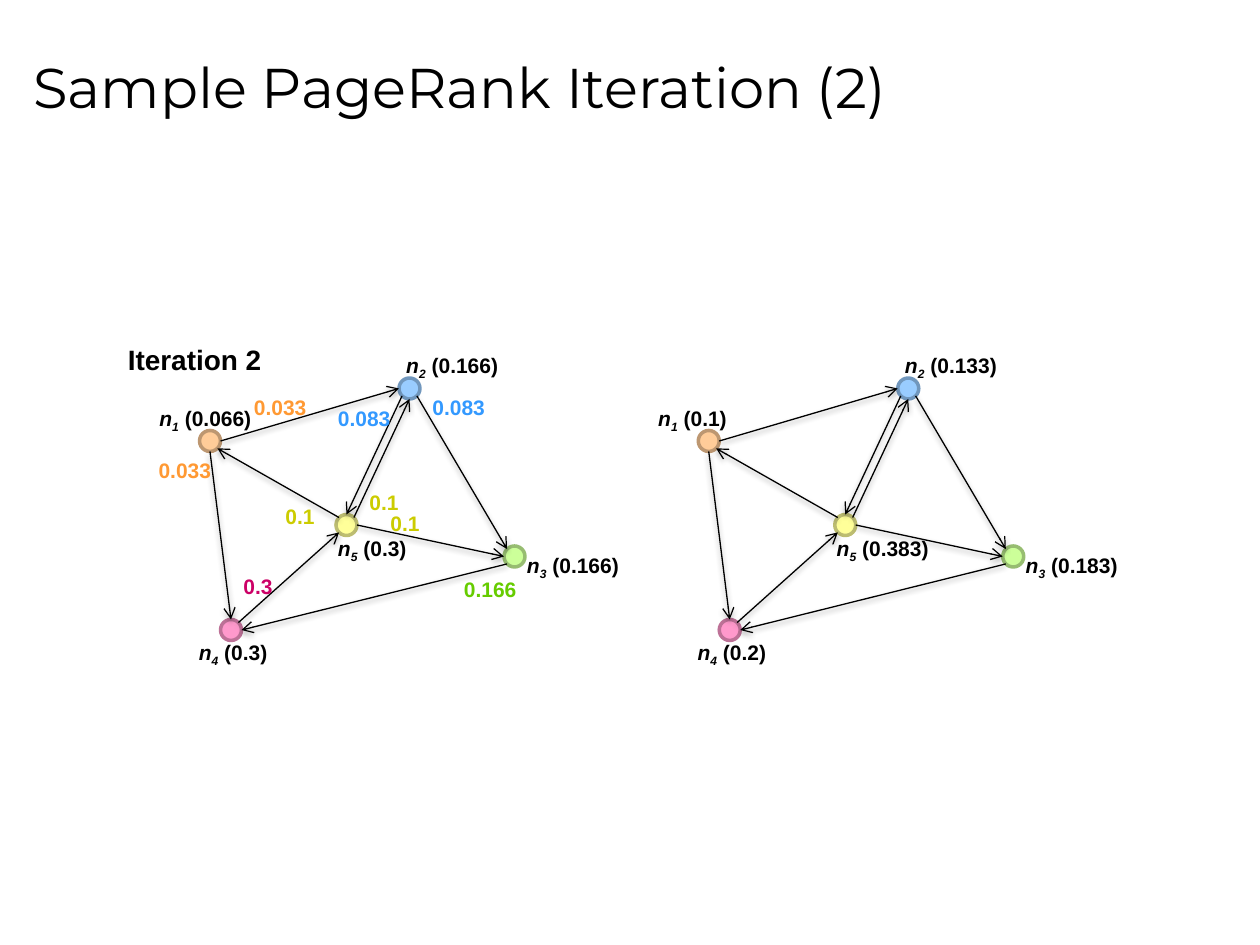
from lxml import etree
from pptx import Presentation
from pptx.dml.color import RGBColor
from pptx.enum import shapes, text
from pptx.oxml import parse_xml
from pptx.oxml.ns import nsdecls, qn
from pptx.util import Pt

# Content
TITLE = "Sample PageRank Iteration (2)"
STEP = "Iteration 2"
# node: centre, fill, outline, left and top of its label
NODES = {
    1: ((120, 252), "FFCC99", "BD9771", (84, 228)),
    2: ((234, 222), "99CCFF", "7197BD", (225, 198)),
    3: ((294, 318), "CCFF99", "97BD71", (294, 312)),
    4: ((132, 360), "FF99CC", "BD7197", (106.5, 362)),
    5: ((198, 300), "FFFF99", "BDBD71", (186, 302.4)),
}
# from node and side, to node and side
EDGES = [
    (1, "E", 2, "W"), (5, "NW", 1, "SE"), (1, "S", 4, "N"),
    (4, "NE", 5, "SW"), (5, "NE", 2, "S"), (2, "SE", 3, "NW"),
    (5, "E", 3, "W"), (3, "SW", 4, "E"), (2, "SW", 5, "N"),
]
# left shift of each graph and its node ranks
GRAPHS = [
    (0, {1: "0.066", 2: "0.166", 3: "0.166", 4: "0.3", 5: "0.3"}),
    (285, {1: "0.1", 2: "0.133", 3: "0.183", 4: "0.2", 5: "0.383"}),
]
# rank passed along an edge, colour, left, top
FLOWS = [
    ("0.033", "FF9933", 138, 222), ("0.033", "FF9933", 83.5, 258),
    ("0.3", "CC0066", 132, 324), ("0.166", "66CC00", 258, 326),
    ("0.083", "3399FF", 186, 228), ("0.083", "3399FF", 240, 222),
    ("0.1", "CCCC00", 156, 284.4), ("0.1", "CCCC00", 216, 288),
    ("0.1", "CCCC00", 204, 276),
]
RADIUS = 6
DIGIT = 6.67  # width of one 12 pt digit
ROW = 21.8    # height of a one-line label

SHADOW = (f'<a:effectLst {nsdecls("a")}><a:outerShdw blurRad="40000" dist="20000" '
          'dir="5400000" rotWithShape="0"><a:srgbClr val="000000">'
          '<a:alpha val="38000"/></a:srgbClr></a:outerShdw></a:effectLst>')

prs = Presentation()
prs.slide_width, prs.slide_height = Pt(720), Pt(540)
s = prs.slides.add_slide(prs.slide_layouts[6])


def rgb(value):
    return RGBColor.from_string(value)


def add_text(runs, x, y, w, h, size=12, font="Arial", color="000000",
             bold=True, wrap=False, anchor=text.MSO_ANCHOR.TOP):
    """Add a text box; runs holds (words, italic, subscript)."""
    tf = s.shapes.add_textbox(Pt(x), Pt(y), Pt(w), Pt(h)).text_frame
    tf.word_wrap = wrap
    tf.vertical_anchor = anchor
    p = tf.paragraphs[0]
    for words, italic, subscript in runs:
        r = p.add_run()
        r.text = words
        f = r.font
        f.size, f.name, f.bold, f.italic = Pt(size), font, bold, italic
        f.color.rgb = rgb(color)
        if subscript:
            r._r.get_or_add_rPr().set("baseline", "-25000")


def plain(words):
    return [(words, False, False)]


def add_node(x, y, fill, outline):
    sp = s.shapes.add_shape(shapes.MSO_SHAPE.OVAL, Pt(x - RADIUS), Pt(y - RADIUS),
                            Pt(2 * RADIUS), Pt(2 * RADIUS))
    sp.shadow.inherit = False
    sp.fill.solid()
    sp.fill.fore_color.rgb = rgb(fill)
    sp.line.color.rgb = rgb(outline)
    sp.line.width = Pt(2)


def rim(node, side):
    """Point on the node's circle in a compass direction."""
    x, y = NODES[node][0]
    reach = RADIUS / len(side) ** 0.5
    return (x + reach * (("E" in side) - ("W" in side)),
            y + reach * (("S" in side) - ("N" in side)))


def add_arrow(x1, y1, x2, y2):
    c = s.shapes.add_connector(shapes.MSO_CONNECTOR.STRAIGHT,
                               Pt(x1), Pt(y1), Pt(x2), Pt(y2))
    c.line.color.rgb = rgb("000000")
    c.line.width = Pt(0.75)
    etree.SubElement(c.line._get_or_add_ln(), qn("a:tailEnd"), type="arrow")
    c._element.spPr.append(parse_xml(SHADOW))


# Headings
add_text(plain(TITLE), 12, 9, 684, 80.5, size=32, font="Montserrat", bold=False,
         wrap=True, anchor=text.MSO_ANCHOR.MIDDLE)
add_text(plain(STEP), 66, 192, 92, 26.7, size=16)

# Both graphs: nodes, arrows, ranks
for shift, ranks in GRAPHS:
    for (x, y), fill, outline, _ in NODES.values():
        add_node(x + shift, y, fill, outline)
    for start, side1, end, side2 in EDGES:
        (x1, y1), (x2, y2) = rim(start, side1), rim(end, side2)
        add_arrow(x1 + shift, y1, x2 + shift, y2)
    for node, rank in ranks.items():
        x, y = NODES[node][3]
        add_text([("n", True, False), (str(node), True, True),
                  (f" ({rank})", False, False)],
                 x + shift, y, 35 + DIGIT * len(rank), ROW)

# Rank flowing along the edges of the first graph
for value, color, x, y in FLOWS:
    add_text(plain(value), x, y, 11.3 + DIGIT * len(value), ROW, color=color)

prs.save("out.pptx")
